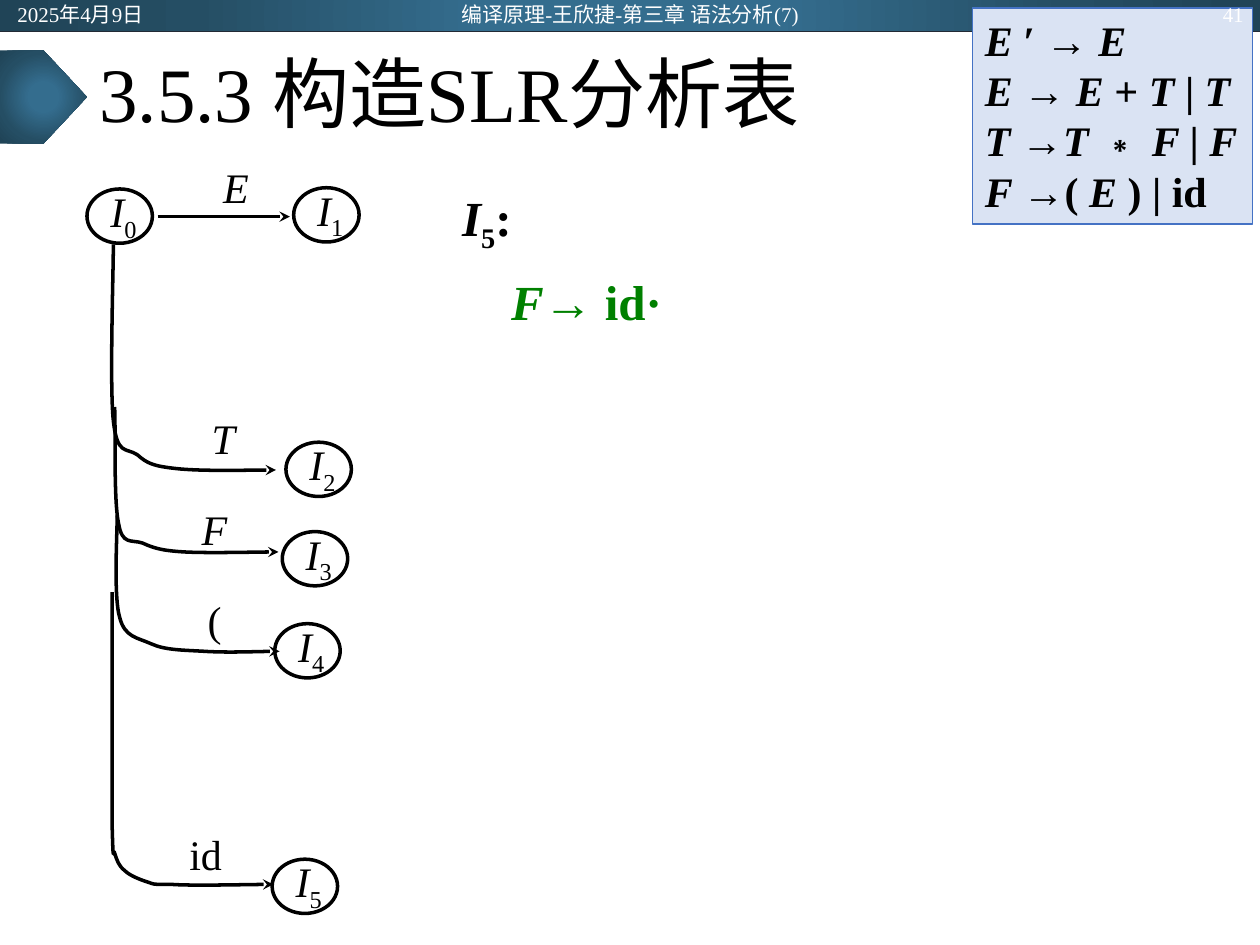
import pptx
import pptx.dml.color
import pptx.enum.shapes
import pptx.enum.text
import pptx.oxml
import pptx.oxml.ns
import pptx.util

Pt = pptx.util.Pt
SHAPE = pptx.enum.shapes.MSO_SHAPE
ALIGN = pptx.enum.text.PP_ALIGN
MIDDLE = pptx.enum.text.MSO_ANCHOR.MIDDLE
qn = pptx.oxml.ns.qn
NAMESPACE = pptx.oxml.ns.nsdecls("a")

COLORS = {
    "ink": "000000", "white": "FFFFFF", "item": "008000",
    "bar_light": "346D8E", "bar_mid": "254E64", "bar_dark": "204457", "bar_edge": "222A35",
    "grammar_fill": "DAE3F3", "grammar_edge": "4472C4",
}
GRADIENT_STOPS = [(0, "bar_light"), (23, "bar_light"), (69, "bar_mid"), (97, "bar_dark")]
FONT = "Times New Roman"
DEFAULT_MARGINS = (7.2, 3.6, 7.2, 3.6)
STATE_MARGINS = (5.8, 1.4, 1.4, 3.6)
LABEL_MARGINS = (4.3, 2.2, 4.3, 2.2)
STATE_SIZE = (37.4, 31)
LABEL_SIZE = (32, 25.2)

ITALIC = {"italic": True}
STATES = [("0", 49.7, 108), ("1", 167.8, 107.3), ("2", 163.4, 252.7),
          ("3", 161.3, 303.8), ("4", 157, 356.4), ("5", 155.5, 491)]
LABELS = [("E", ITALIC, 118.8, 94), ("T", ITALIC, 111.6, 237.6), ("F", ITALIC, 106.6, 289.4),
          ("(", {}, 106.6, 341.3), ("id", {}, 101.5, 475.2)]

# Each branch: start point, then three points for every cubic curve.
BRANCHES = [
    [(64.8, 139.7), (64.8, 156.2), (62.6, 220.3), (64.8, 240.5),
     (67, 260.6), (72, 255.6), (78.5, 259.9), (84.2, 265), (87.8, 266.4), (100.8, 267.8),
     (114.5, 269.3), (146.2, 268.6), (157.7, 268.6)],
    [(65.5, 232.6), (66.2, 243.4), (64.8, 285.1), (67.7, 298.8),
     (69.8, 311.8), (74.9, 308.2), (81.4, 310.3), (87.8, 313.2), (92.2, 314.6), (105.1, 315.4),
     (118.1, 316.1), (147.6, 315.4), (159.1, 315.4)],
    [(67, 294.5), (67, 304.6), (64.8, 340.6), (68.4, 352.8),
     (71.3, 364.3), (78.5, 364.3), (86.4, 367.9), (94.3, 371.5), (104.4, 371.5), (116.6, 372.2),
     (128.9, 373), (151.2, 372.2), (159.8, 372.2)],
    [(64.1, 338.4), (64.1, 360.7), (64.1, 447.1), (64.1, 472.3),
     (64.8, 497.5), (64.8, 483.8), (65.5, 487.4), (66.9, 491.8), (67.7, 494.6), (71.3, 497.5),
     (74.2, 500.4), (79.9, 502.6), (84.2, 504), (88.6, 505.4), (85.7, 505.4), (97.9, 505.4),
     (109.4, 506.2), (144, 505.4), (156.2, 505.4)],
]
GRAMMAR = [
    [("E ", ITALIC), ("′ → ", {}), ("E", ITALIC)],
    [("E ", ITALIC), ("→ ", {}), ("E ", ITALIC), ("+ ", {}), ("T ", ITALIC), ("|", {}), (" T", ITALIC)],
    [("T ", ITALIC), ("→", {}), ("T ", ITALIC), ("∗", {}), (" F ", ITALIC), ("| ", {}), ("F", ITALIC)],
    [("F ", ITALIC), ("→( ", {}), ("E ", ITALIC), (") | id", {})],
]


def rgb(name):
    return pptx.dml.color.RGBColor.from_string(COLORS[name])


def set_line(shape, color, width):
    shape.line.color.rgb = rgb(color)
    shape.line.width = Pt(width)


def write_spans(para, spans, size, color="ink", **shared):
    """Add (text, format) spans; the format key 'sub' makes a subscript."""
    for text, changes in spans:
        span = para.add_run()
        span.text = text
        values = {"name": FONT, "size": Pt(size), **shared, **changes}
        if values.pop("sub", False):
            span.font._element.set("baseline", "-25000")
        for key, value in values.items():
            setattr(span.font, key, value)
        span.font.color.rgb = rgb(color)


def set_frame(shape, margins=DEFAULT_MARGINS, **values):
    frame = shape.text_frame
    for side, margin in zip(("left", "top", "right", "bottom"), margins):
        setattr(frame, "margin_" + side, Pt(margin))
    for key, value in values.items():
        setattr(frame, key, value)
    return frame


def add_text(slide, area, spans, size, color="ink", align=ALIGN.LEFT, margins=DEFAULT_MARGINS):
    """Add a one-paragraph text box, centred vertically."""
    box = slide.shapes.add_textbox(*map(Pt, area))
    para = set_frame(box, margins, word_wrap=True, vertical_anchor=MIDDLE).paragraphs[0]
    para.alignment = align
    write_spans(para, spans, size, color)
    return para


def add_plain_shape(slide, kind, area):
    shape = slide.shapes.add_shape(kind, *map(Pt, area))
    shape.shadow.inherit = False
    shape.fill.background()
    shape.line.fill.background()
    return shape


def add_gradient_shape(slide, kind, area):
    """Add a shape whose fill darkens from its centre outwards."""
    shape = add_plain_shape(slide, kind, area)
    stops = "".join(f'<a:gs pos="{place * 1000}"><a:srgbClr val="{COLORS[name]}"/></a:gs>'
                    for place, name in GRADIENT_STOPS)
    gradient = pptx.oxml.parse_xml(
        f'<a:gradFill {NAMESPACE} rotWithShape="1"><a:gsLst>{stops}</a:gsLst><a:path path="circle">'
        '<a:fillToRect l="50000" t="50000" r="50000" b="50000"/></a:path></a:gradFill>')
    properties = shape.element.spPr
    properties.replace(properties.find(qn("a:noFill")), gradient)


def add_line(slide, start, end, color, width):
    line = slide.shapes.add_connector(
        pptx.enum.shapes.MSO_CONNECTOR.STRAIGHT, *map(Pt, (*start, *end)))
    set_line(line, color, width)
    line.element.spPr.append(pptx.oxml.parse_xml(f"<a:effectLst {NAMESPACE}/>"))
    return line


def add_arrowhead(shape):
    shape.element.spPr.find(qn("a:ln")).append(
        pptx.oxml.parse_xml(f'<a:tailEnd {NAMESPACE} type="stealth"/>'))


def add_branch(slide, points):
    """Add a curved arrow through cubic curves."""
    (start, *rest) = [tuple(map(Pt, point)) for point in points]
    builder = slide.shapes.build_freeform(*start)
    builder.add_line_segments(rest, close=False)
    branch = builder.convert_to_shape()
    branch.shadow.inherit = False
    branch.fill.background()
    set_line(branch, "ink", 2)
    add_arrowhead(branch)
    segments = list(branch.element.iter(qn("a:lnTo")))
    for first in range(0, len(segments), 3):
        curve = pptx.oxml.parse_xml(f"<a:cubicBezTo {NAMESPACE}/>")
        segments[first].addprevious(curve)
        for segment in segments[first:first + 3]:
            curve.append(segment[0])
            segment.getparent().remove(segment)


def add_state(slide, number, left, top):
    state = add_plain_shape(slide, SHAPE.OVAL, (left, top, *STATE_SIZE))
    set_line(state, "ink", 2)
    para = set_frame(state, STATE_MARGINS, word_wrap=False, vertical_anchor=MIDDLE).paragraphs[0]
    para.alignment = ALIGN.CENTER
    write_spans(para, [("I", ITALIC), (number, {"sub": True})], 24)


def add_item_set(slide):
    box = slide.shapes.add_textbox(*map(Pt, (257, 100, 429, 429)))
    frame = set_frame(box, (7.2, 7, 7.2, 3.6), word_wrap=True)
    write_spans(frame.paragraphs[0], [("I", ITALIC), ("5", {"sub": True}), (":", {})], 28, bold=True)
    item = frame.add_paragraph()
    item.space_before = Pt(10)
    item._p.get_or_add_pPr().set("marL", str(Pt(28)))
    write_spans(item, [("F", ITALIC), ("→ id·", {})], 28, "item", bold=True)


def add_grammar(slide):
    box = add_plain_shape(slide, SHAPE.RECTANGLE, (555.8, 4.5, 160, 123.7))
    box.fill.solid()
    box.fill.fore_color.rgb = rgb("grammar_fill")
    set_line(box, "grammar_edge", 1)
    frame = set_frame(box, word_wrap=False, vertical_anchor=pptx.enum.text.MSO_ANCHOR.TOP,
                      auto_size=pptx.enum.text.MSO_AUTO_SIZE.SHAPE_TO_FIT_TEXT)
    for index, rule in enumerate(GRAMMAR):
        para = frame.add_paragraph() if index else frame.paragraphs[0]
        para.alignment = ALIGN.LEFT
        write_spans(para, rule, 24, bold=True)


def main():
    deck = pptx.Presentation()
    deck.slide_width, deck.slide_height = Pt(720), Pt(540)
    slide = deck.slides.add_slide(deck.slide_layouts[6])

    add_gradient_shape(slide, SHAPE.RECTANGLE, (0, 0, 720, 18))
    add_line(slide, (0, 18), (720, 18), "bar_edge", 0.5)
    add_gradient_shape(slide, SHAPE.PENTAGON, (0, 28.8, 49.7, 53.3))
    title = add_text(slide, (49.7, 18, 620.6, 75), [("3.5.3 构造SLR分析表", {})], 44)
    title.line_spacing = 0.9

    add_item_set(slide)
    add_arrowhead(add_line(slide, (90, 123.8), (165.6, 123.8), "ink", 2))
    for state in STATES:
        add_state(slide, *state)
    for points in BRANCHES:
        add_branch(slide, points)
    for text, style, left, top in LABELS:
        add_text(slide, (left, top, *LABEL_SIZE), [(text, style)], 24,
                 align=ALIGN.CENTER, margins=LABEL_MARGINS)

    add_grammar(slide)
    for text, left, width, align in [("2025年4月9日", 2.9, 162, ALIGN.LEFT),
                                     ("编译原理-王欣捷-第三章 语法分析(7)", 238.3, 243.4, ALIGN.CENTER),
                                     ("41", 555.8, 162, ALIGN.RIGHT)]:
        add_text(slide, (left, 0.7, width, 14.4), [(text, {})], 12, "white", align)
    deck.save("out.pptx")


if __name__ == "__main__":
    main()
